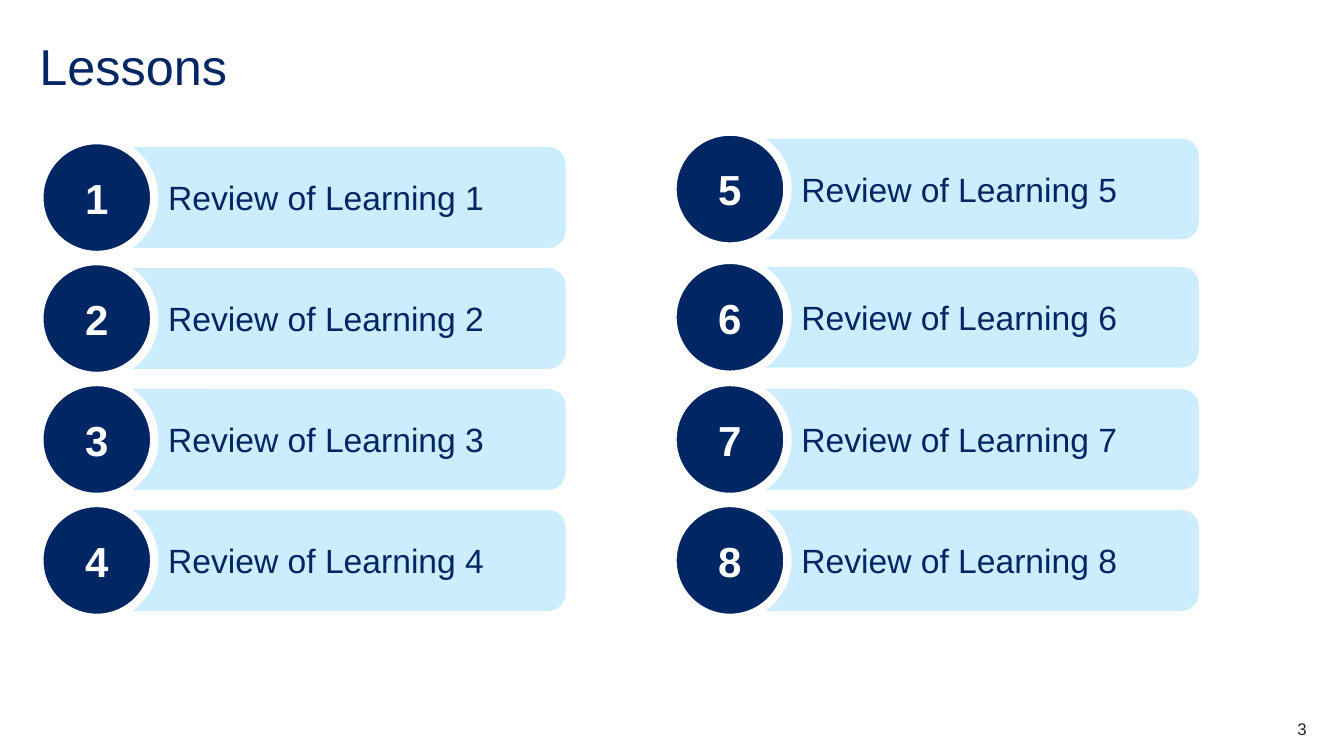
import pptx
import pptx.dml.color
import pptx.enum.shapes
import pptx.enum.text
import pptx.util

NAVY = pptx.dml.color.RGBColor(0x00, 0x26, 0x64)
SKY = pptx.dml.color.RGBColor(0xCB, 0xED, 0xFD)
WHITE = pptx.dml.color.RGBColor(0xFF, 0xFF, 0xFF)
CHARCOAL = pptx.dml.color.RGBColor(0x22, 0x27, 0x2B)

SHAPES = pptx.enum.shapes.MSO_SHAPE
ALIGN = pptx.enum.text.PP_ALIGN
ANCHOR = pptx.enum.text.MSO_ANCHOR

ROWS_PER_COLUMN = 4
LESSON_ROWS = [0, 1, 2, 3, -0.07, 0.99, 2, 3]


class LessonSlide:
    font_name = "Arial"
    margin = 0.39
    grid_top = 1.39
    column_width = 6.28
    row_height = 1.2
    badge_size = 1.14
    bar_width = 4.48
    bar_height = 1
    bar_offset = 0.74

    def __init__(self, presentation):
        self.slide = presentation.slides.add_slide(presentation.slide_layouts[6])

    def set_text(self, shape, text, size, color, align=ALIGN.LEFT, bold=False):
        shape.text_frame.text = text
        paragraph = shape.text_frame.paragraphs[0]
        paragraph.alignment = align
        font = paragraph.runs[0].font
        font.name = self.font_name
        font.size = pptx.util.Pt(size)
        font.bold = bold
        font.color.rgb = color
        return paragraph

    def add_text(self, box, text, size, color, align=ALIGN.LEFT, anchor=ANCHOR.MIDDLE):
        shape = self.slide.shapes.add_textbox(*map(pptx.util.Inches, box))
        frame = shape.text_frame
        frame.word_wrap = True
        frame.vertical_anchor = anchor
        frame.margin_left = frame.margin_right = 0
        frame.margin_top = frame.margin_bottom = 0
        return self.set_text(shape, text, size, color, align)

    def add_shape(self, group, kind, box, fill):
        shape = group.shapes.add_shape(kind, *map(pptx.util.Inches, box))
        shape.shadow.inherit = False
        shape.fill.solid()
        shape.fill.fore_color.rgb = fill
        shape.line.fill.background()
        shape.text_frame.word_wrap = True
        shape.text_frame.vertical_anchor = ANCHOR.MIDDLE
        return shape

    def add_lesson(self, number, column, row):
        left = self.margin + column * self.column_width
        top = self.grid_top + row * self.row_height
        bar_top = top + (self.badge_size - self.bar_height) / 2
        group = self.slide.shapes.add_group_shape()

        bar_box = (left + self.bar_offset, bar_top, self.bar_width, self.bar_height)
        bar = self.add_shape(group, SHAPES.ROUNDED_RECTANGLE, bar_box, SKY)
        bar.adjustments[0] = 0.17
        label = self.set_text(bar, f"Review of Learning {number}", 24, NAVY)
        indent = pptx.util.Inches(self.margin)
        label._p.get_or_add_pPr().set("marL", str(indent))

        badge_box = (left, top, self.badge_size, self.badge_size)
        badge = self.add_shape(group, SHAPES.OVAL, badge_box, NAVY)
        badge.line.color.rgb = WHITE
        badge.line.width = pptx.util.Pt(6)
        self.set_text(badge, str(number), 30, WHITE, ALIGN.CENTER, bold=True)


def main():
    presentation = pptx.Presentation()
    presentation.slide_width = pptx.util.Inches(13.33)
    presentation.slide_height = pptx.util.Inches(7.5)

    page = LessonSlide(presentation)
    title = page.add_text((0.39, 0.39, 12.56, 0.6), "Lessons", 36, NAVY)
    title.line_spacing = 0.9
    for index, row in enumerate(LESSON_ROWS):
        page.add_lesson(index + 1, index // ROWS_PER_COLUMN, row)
    page.add_text((12.17, 7.13, 0.79, 0.2), "3", 12, CHARCOAL, ALIGN.RIGHT, ANCHOR.BOTTOM)

    presentation.save("out.pptx")


if __name__ == "__main__":
    main()
